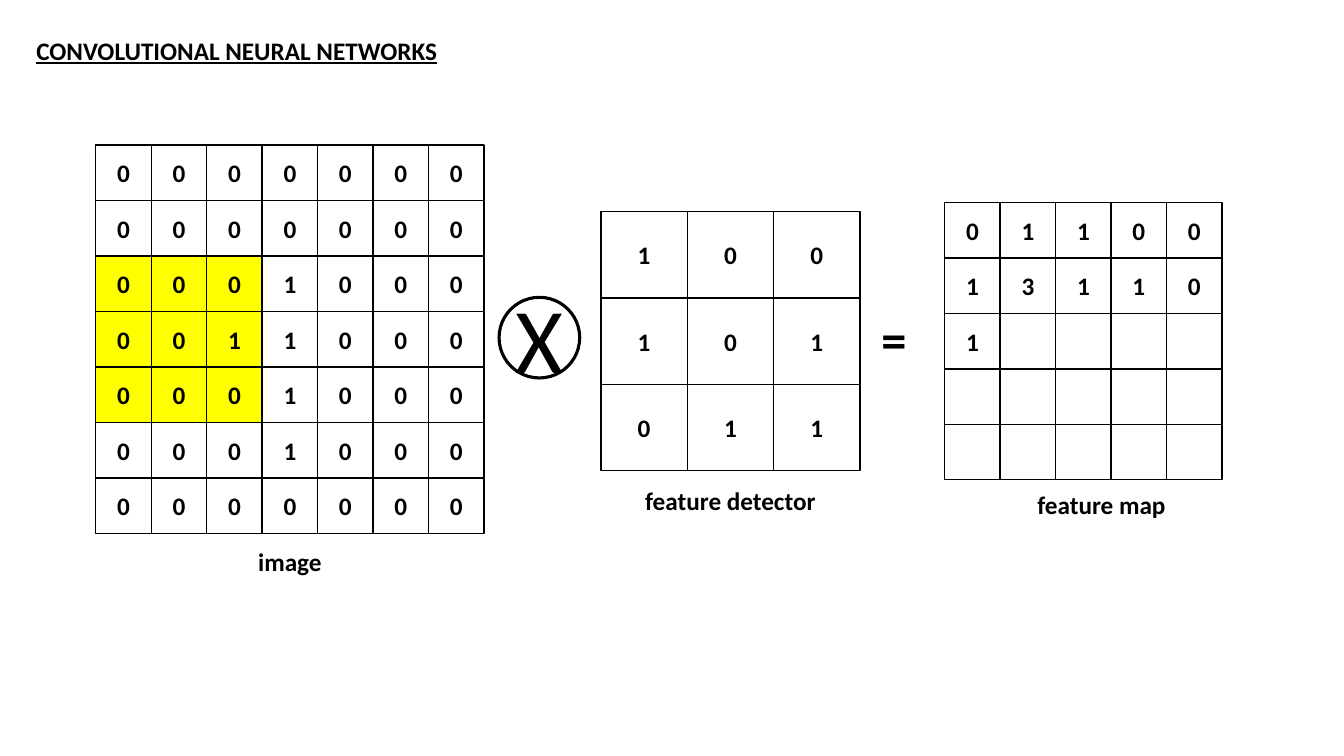
from pptx import Presentation
from pptx import util as u
from pptx.dml.color import RGBColor
from pptx.enum import shapes, text

BLACK = RGBColor(0, 0, 0)
WHITE = RGBColor(255, 255, 255)
YELLOW = RGBColor(255, 255, 0)

IMAGE = ["0000000", "0000000", "0001000", "0011000",
         "0001000", "0001000", "0000000"]
FILTER = ["100", "101", "011"]
MAP = ["01100", "13110", "1    ", "     ", "     "]
WINDOW = {(row, col) for row in (2, 3, 4) for col in (0, 1, 2)}


def write(shape, words, size=18, bold=True, under=False,
          align=text.PP_ALIGN.CENTER, anchor=text.MSO_ANCHOR.MIDDLE, wrap=True):
    frame = shape.text_frame
    frame.word_wrap = wrap
    frame.vertical_anchor = anchor
    para = frame.paragraphs[0]
    para.alignment = align
    run = para.add_run()
    run.text = words
    font = run.font
    font.name = "Calibri"
    font.size = u.Pt(size)
    font.bold = bold
    font.underline = under
    font.color.rgb = BLACK


def place(box):
    return [u.Inches(side) for side in box]


def draw(slide, kind, box, fill=None, width=1):
    shape = slide.shapes.add_shape(kind, *place(box))
    shape.shadow.inherit = False
    if fill is None:
        shape.fill.background()
    else:
        shape.fill.solid()
        shape.fill.fore_color.rgb = fill
    shape.line.color.rgb = BLACK
    shape.line.width = u.Pt(width)
    return shape


def label(slide, box, words, **style):
    shape = slide.shapes.add_textbox(*place(box))
    write(shape, words, anchor=text.MSO_ANCHOR.TOP, wrap=False, **style)


def title(slide, box, words):
    head = slide.shapes.title
    head.left, head.top, head.width, head.height = place(box)
    write(head, words, under=True, align=text.PP_ALIGN.LEFT,
          anchor=text.MSO_ANCHOR.TOP, wrap=False)


def matrix(slide, box, rows, name, shift, gap, base=None, marked=()):
    left, top, width, height = box
    side = width / len(rows)
    for row, line in enumerate(rows):
        for col, digit in enumerate(line):
            fill = YELLOW if (row, col) in marked else base
            spot = (left + col * side, top + row * side, side, side)
            cell = draw(slide, shapes.MSO_SHAPE.RECTANGLE, spot, fill)
            if digit.strip():
                write(cell, digit)
    label(slide, (left + shift, top + height + gap, width, 0.4), name)


def times(slide, box):
    left, top, width, height = box
    draw(slide, shapes.MSO_SHAPE.OVAL, box, width=2.25)
    label(slide, (left, top - 0.21, width, 1.21), "X", size=66, bold=False)


def main():
    deck = Presentation()
    deck.slide_width, deck.slide_height = u.Inches(13.33), u.Inches(7.5)
    slide = deck.slides.add_slide(deck.slide_layouts[5])
    title(slide, (0.26, 0.3, 4.22, 0.4), "CONVOLUTIONAL NEURAL NETWORKS")
    matrix(slide, (0.95, 1.44, 3.85, 3.85), IMAGE, "image", 0, 0.08,
           base=WHITE, marked=WINDOW)
    times(slide, (4.95, 2.95, 0.8, 0.8))
    matrix(slide, (5.96, 2.1, 2.57, 2.57), FILTER, "feature detector", 0, 0.1)
    label(slide, (8.64, 3.01, 0.45, 0.71), "=", size=36)
    matrix(slide, (9.37, 2.01, 2.75, 2.75), MAP, "feature map", 0.18, 0.05)
    deck.save("out.pptx")


if __name__ == "__main__":
    main()
